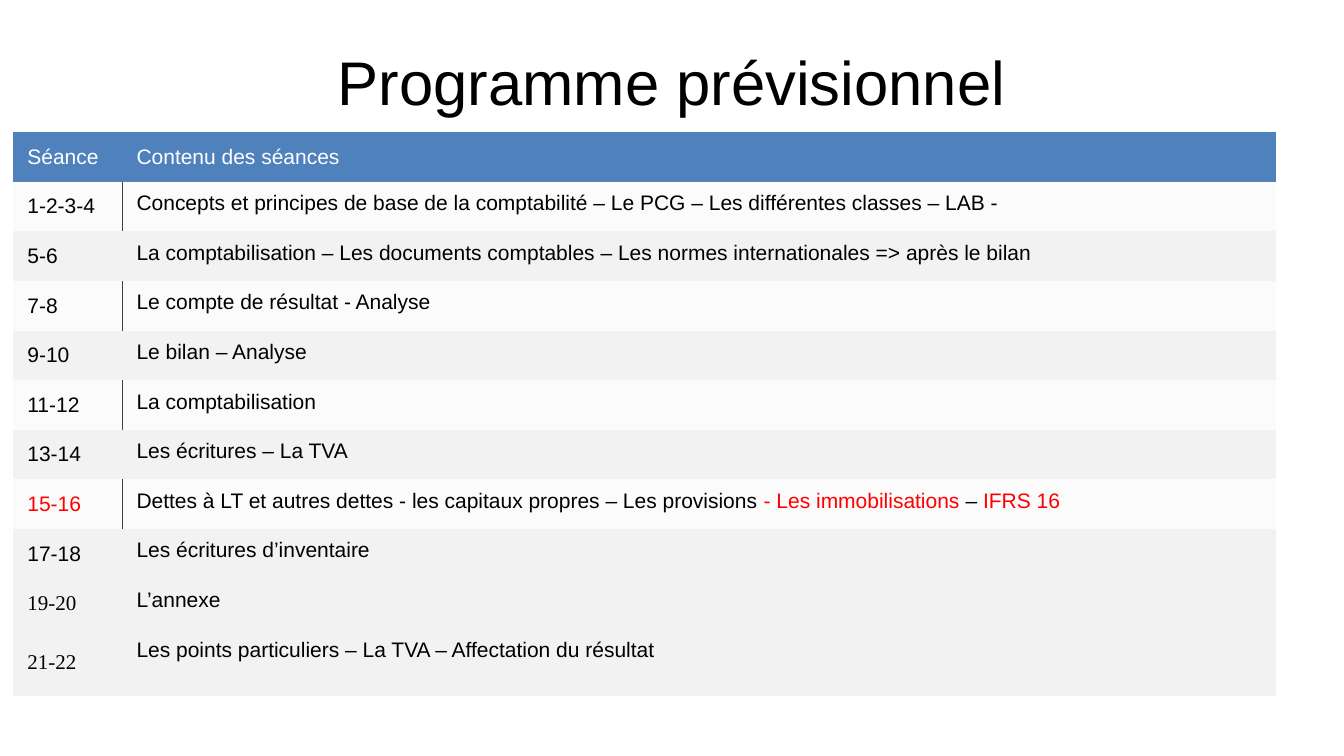
from dataclasses import dataclass

from lxml import etree
from pptx import Presentation
from pptx.dml import color as c
from pptx.enum import text as t
from pptx.oxml import ns
from pptx.util import Cm, Pt


@dataclass(frozen=True)
class Theme:
    font: str = "Arial"
    serif: str = "Times New Roman"
    title_size: float = 44
    body_size: float = 15
    black: str = "000000"
    white: str = "FFFFFF"
    red: str = "FF0000"
    header: str = "4F81BD"
    band: str = "F2F2F2"
    rule: str = "404040"


TH = Theme()


@dataclass(frozen=True)
class Run:
    text: str
    color: str = TH.black
    font: str = TH.font


@dataclass(frozen=True)
class Session:
    number: Run
    content: tuple[Run, ...]
    light: bool = False


SESSIONS = (
    Session(Run("1-2-3-4"), (Run("Concepts et principes de base de la comptabilité – Le PCG – Les différentes classes – LAB -"),), True),
    Session(Run("5-6"), (Run("La comptabilisation – Les documents comptables – Les normes internationales => après le bilan"),)),
    Session(Run("7-8"), (Run("Le compte de résultat - Analyse"),), True),
    Session(Run("9-10"), (Run("Le bilan – Analyse"),)),
    Session(Run("11-12"), (Run("La comptabilisation"),), True),
    Session(Run("13-14"), (Run("Les écritures – La TVA"),)),
    Session(Run("15-16", TH.red), (
        Run("Dettes à LT et autres dettes - les capitaux propres – Les provisions "),
        Run("- Les immobilisations", TH.red), Run(" – "), Run("IFRS 16", TH.red)), True),
    Session(Run("17-18"), (Run("Les écritures d’inventaire"),)),
    Session(Run("19-20", font=TH.serif), (Run("L’annexe"),)),
    Session(Run("21-22", font=TH.serif), (Run("Les points particuliers – La TVA – Affectation du résultat"),)),
)


def add_text(p, text: str, *, size: float = TH.body_size, color: str = TH.black, font: str = TH.font) -> None:
    r = p.add_run()
    r.text = text
    r.font.size, r.font.name, r.font.bold = Pt(size), font, False
    r.font.color.rgb = c.RGBColor.from_string(color)


def set_fill(cell, color: str, alpha: int = 100) -> None:
    cell.fill.solid()
    cell.fill.fore_color.rgb = c.RGBColor.from_string(color)
    if alpha < 100:
        clr = cell.fill._xPr.find(".//" + ns.qn("a:srgbClr"))
        etree.SubElement(clr, ns.qn("a:alpha"), val=str(alpha * 1000))


def set_borders(cell, ruled: str = "") -> None:
    tcPr = cell._tc.get_or_add_tcPr()
    for i, side in enumerate("LRTB"):
        ln = etree.Element(ns.qn(f"a:ln{side}"), w=str(Pt(0.5)))
        if side == ruled:
            fill = etree.SubElement(ln, ns.qn("a:solidFill"))
            etree.SubElement(fill, ns.qn("a:srgbClr"), val=TH.rule)
        else:
            etree.SubElement(ln, ns.qn("a:noFill"))
        tcPr.insert(i, ln)


def fill_cell(cell, runs: tuple[Run, ...], *, fill: str, alpha: int = 100, ruled: str = "",
              middle: bool = True, justify: bool = False) -> None:
    cell.margin_left, cell.margin_right = Cm(0.36), Cm(0.2)
    cell.margin_top = cell.margin_bottom = Cm(0.25)
    cell.vertical_anchor = t.MSO_ANCHOR.MIDDLE if middle else t.MSO_ANCHOR.TOP
    p = cell.text_frame.paragraphs[0]
    p.alignment = t.PP_ALIGN.JUSTIFY if justify else t.PP_ALIGN.LEFT
    for run in runs:
        add_text(p, run.text, color=run.color, font=run.font)
    set_fill(cell, fill, alpha)
    set_borders(cell, ruled)


def add_title(s, text: str) -> None:
    sp = s.shapes.title
    sp.left, sp.top, sp.width, sp.height = Cm(1.69), Cm(0.76), Cm(30.48), Cm(2.54)
    tf = sp.text_frame
    tf.vertical_anchor = t.MSO_ANCHOR.MIDDLE
    tf.paragraphs[0].alignment = t.PP_ALIGN.CENTER
    add_text(tf.paragraphs[0], text, size=TH.title_size)


def add_programme(s) -> None:
    row_h, last_h = Cm(1.25), Cm(1.7)
    widths = Cm(2.75), Cm(29.08)
    n = len(SESSIONS)
    tbl = s.shapes.add_table(n + 1, 2, Cm(0.33), Cm(3.33), sum(widths), n * row_h + last_h).table
    tbl.first_row = tbl.horz_banding = False
    for col, width in zip(tbl.columns, widths):
        col.width = width
    for row in tbl.rows:
        row.height = row_h
    tbl.rows[n].height = last_h
    for j, label in enumerate(("Séance", "Contenu des séances")):
        fill_cell(tbl.cell(0, j), (Run(label, TH.white),), fill=TH.header)
    for i, session in enumerate(SESSIONS, 1):
        alpha = 30 if session.light else 100
        fill_cell(tbl.cell(i, 0), (session.number,), fill=TH.band, alpha=alpha,
                  ruled="R" if session.light else "")
        fill_cell(tbl.cell(i, 1), session.content, fill=TH.band, alpha=alpha,
                  ruled="L" if session.light else "", middle=False, justify=True)


def main() -> None:
    """Build the slide with the planned course programme."""
    prs = Presentation()
    prs.slide_width, prs.slide_height = Cm(33.87), Cm(19.05)
    s = prs.slides.add_slide(prs.slide_layouts[5])
    add_title(s, "Programme prévisionnel")
    add_programme(s)
    prs.save("out.pptx")


if __name__ == "__main__":
    main()
